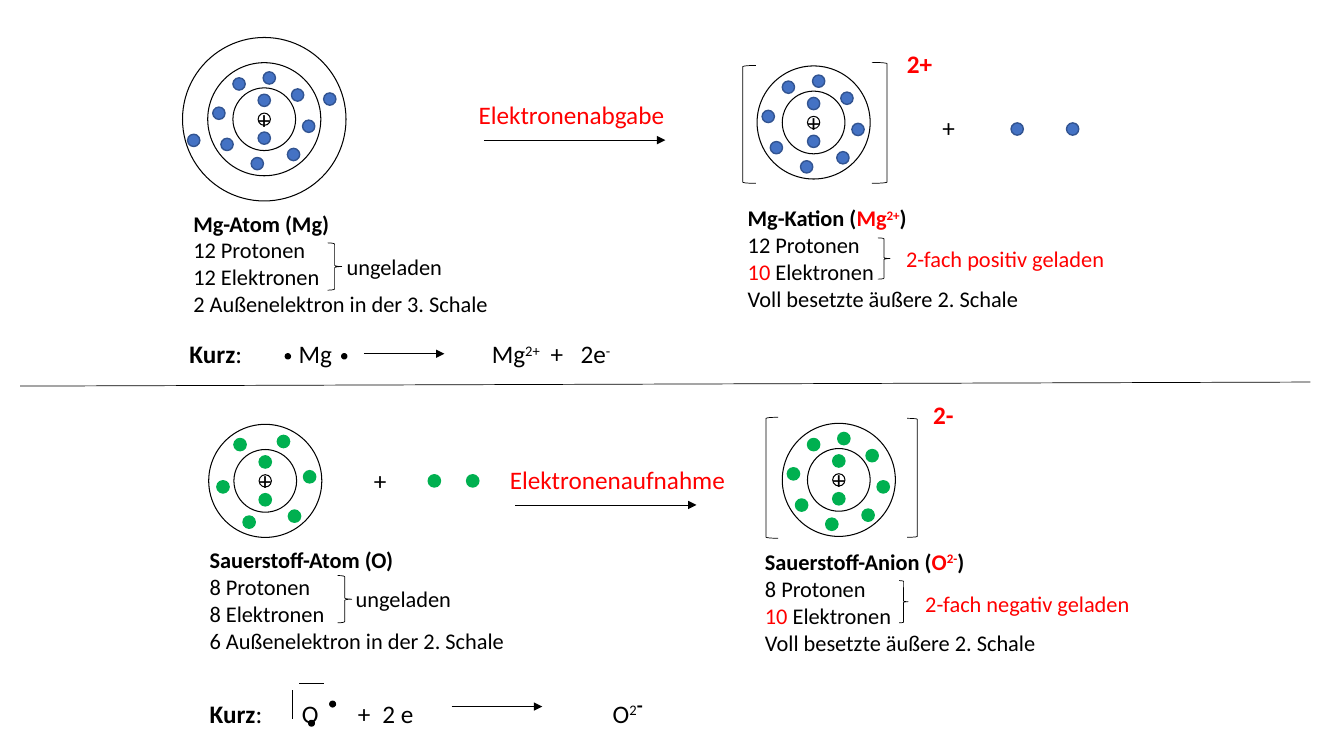
from lxml.etree import SubElement
from pptx import Presentation
from pptx.dml.color import RGBColor
from pptx.enum.shapes import MSO_CONNECTOR as Connector, MSO_SHAPE as Preset
from pptx.enum.text import MSO_AUTO_SIZE as AutoSize
from pptx.oxml.ns import qn
from pptx.util import Pt

BLACK = RGBColor(0x00, 0x00, 0x00)
WHITE = RGBColor(0xFF, 0xFF, 0xFF)
RED = RGBColor(0xFF, 0x00, 0x00)
BLUE = RGBColor(0x44, 0x72, 0xC4)
DARK_BLUE = RGBColor(0x32, 0x54, 0x91)
GREEN = RGBColor(0x00, 0xB0, 0x50)

MAGNESIUM = (BLUE, DARK_BLUE)
OXYGEN = (GREEN, GREEN)
SHELL_SIZES = (44.8, 80.8, 116.8)
INNER_PAIR = [(0, -13.5), (0, 13.5)]
OCTET = [(23.8, -17.3), (31.7, 5), (20.9, 25.2), (3.6, -29.5),
         (-18, -25.2), (-32.4, -4.3), (-26.6, 18), (-5, 31.7)]
SEXTET = [(31.7, -2.9), (20.9, 25.2), (13, -28.1),
          (-18, -25.9), (-30.2, 4.3), (-11.5, 29.5)]
OUTER_PAIR = [(46.8, -14.4), (-50.4, 15.1)]


def add_preset(slide, preset, left, top, width, height, fill=None, line=BLACK, weight=0.5):
    """Add a preset shape with the given fill and outline."""
    shape = slide.shapes.add_shape(preset, Pt(left), Pt(top), Pt(width), Pt(height))
    shape.shadow.inherit = False
    if fill is None:
        shape.fill.background()
    else:
        shape.fill.solid()
        shape.fill.fore_color.rgb = fill
    shape.line.color.rgb = line
    shape.line.width = Pt(weight)


def add_circle(slide, x, y, size, **style):
    """Add a circle around a centre point."""
    add_preset(slide, Preset.OVAL, x - size / 2, y - size / 2, size, size, **style)


def add_electrons(slide, x, y, offsets, colours):
    """Add electrons at offsets from a centre point."""
    fill, line = colours
    for across, down in offsets:
        add_circle(slide, x + across, y + down, 8.8, fill=fill, line=line, weight=1)


def add_atom(slide, x, y, electrons, colours, shells=2):
    """Add shells, a positive nucleus and electrons."""
    for size in reversed(SHELL_SIZES[:shells]):
        add_circle(slide, x, y, size, fill=WHITE, weight=0.75)
    add_circle(slide, x, y, 8.8, weight=0.75)
    add_text(slide, x - 11.6, y - 14.4, 23.2, 29, "+")
    add_electrons(slide, x, y, INNER_PAIR + electrons, colours)


def add_text(slide, left, top, width, height, *paragraphs,
             size=18, color=BLACK, bold=False, tabs=()):
    """Add a text box; a paragraph is a string or a list of (text, format) runs."""
    box = slide.shapes.add_textbox(Pt(left), Pt(top), Pt(width), Pt(height))
    frame = box.text_frame
    frame.word_wrap = True
    frame.auto_size = AutoSize.SHAPE_TO_FIT_TEXT
    for index, content in enumerate(paragraphs):
        paragraph = frame.paragraphs[0] if index == 0 else frame.add_paragraph()
        if tabs:
            tab_list = SubElement(paragraph._p.get_or_add_pPr(), qn("a:tabLst"))
            for position in tabs:
                SubElement(tab_list, qn("a:tab"), pos=str(Pt(position)), algn="l")
        for text, style in [(content, {})] if isinstance(content, str) else content:
            run = paragraph.add_run()
            run.text = text
            run.font.name = "Calibri"
            run.font.size = Pt(style.get("size", size))
            run.font.bold = style.get("bold", bold)
            run.font.color.rgb = style.get("color", color)
            if style.get("raised"):
                run._r.get_or_add_rPr().set("baseline", "30000")


def add_line(slide, start, end, arrow=False):
    """Add a thin black line, with an arrowhead on request."""
    points = [Pt(value) for value in (*start, *end)]
    connector = slide.shapes.add_connector(Connector.STRAIGHT, *points)
    connector.line.color.rgb = BLACK
    connector.line.width = Pt(0.5)
    properties = connector._element.spPr
    if arrow:
        SubElement(properties.find(qn("a:ln")), qn("a:tailEnd"), type="triangle")
    SubElement(properties, qn("a:effectLst"))


def add_atom_facts(slide, left, top, name, count, last_line):
    """Describe a neutral atom and brace its particle counts."""
    add_text(slide, left, top, 302, 85, [(name, {"bold": True})],
             f"{count} Protonen", f"{count} Elektronen", last_line, size=16)


def add_ion_facts(slide, left, top, name, symbol, charge, protons):
    """Describe an ion with its charge in red."""
    add_text(slide, left, top, 322, 85,
             [(f"{name} (", {"bold": True}),
              (symbol, {"bold": True, "color": RED}),
              (charge, {"bold": True, "color": RED, "raised": True}),
              (")", {"bold": True})],
             f"{protons} Protonen",
             [("10", {"color": RED}), (" Elektronen", {})],
             "Voll besetzte äußere 2. Schale", size=16)


def add_brace(slide, left, top, width, height, label, label_left, label_top, color=BLACK):
    """Add a right brace and its label."""
    add_preset(slide, Preset.RIGHT_BRACE, left, top, width, height)
    add_text(slide, label_left, label_top, 182, 26.6, label, size=16, color=color)


def add_magnesium(slide):
    """Draw magnesium giving off two electrons."""
    add_atom(slide, 188.8, 85.2, OCTET + OUTER_PAIR, MAGNESIUM, shells=3)
    add_atom_facts(slide, 131, 146.2, "Mg-Atom (Mg)", 12, "2 Außenelektron in der 3. Schale")
    add_brace(slide, 234, 173.5, 10.1, 33.8, "ungeladen", 240.5, 177.1)
    add_line(slide, (345.6, 100.1), (475.2, 100.1), arrow=True)
    add_text(slide, 334.8, 67.7, 151.2, 29, "Elektronenabgabe", color=RED)

    add_atom(slide, 581.2, 87.5, OCTET, MAGNESIUM)
    add_preset(slide, Preset.LEFT_BRACKET, 530.6, 46.8, 9.4, 84.2)
    add_preset(slide, Preset.RIGHT_BRACKET, 622.8, 44.6, 10.8, 86.4)
    add_text(slide, 640.8, 31, 39, 29, "2+", color=RED, bold=True)
    add_ion_facts(slide, 527, 142.6, "Mg-Kation", "Mg", "2+", 12)
    add_brace(slide, 627.1, 169.9, 8.6, 29.5, "2-fach positiv geladen", 640.1, 171.4, color=RED)
    add_text(slide, 666, 77, 39, 29, "+")
    add_electrons(slide, 746.4, 92.2, [(-19.8, 0), (19.8, 0)], MAGNESIUM)

    add_text(slide, 128.2, 238.3, 328.3, 29,
             [("Kurz", {"bold": True}), (":\tMg\tMg", {}), ("2+", {"raised": True}),
              ("\t+\t2e", {}), ("-", {"raised": True})],
             tabs=(78, 216, 258, 279.5))
    add_line(slide, (259.9, 252.7), (317.5, 252.7), arrow=True)
    for x in (205.6, 245.9):
        add_circle(slide, x, 254.5, 3.6, fill=BLACK, weight=1)


def add_oxygen(slide):
    """Draw oxygen taking up two electrons."""
    add_atom(slide, 189.5, 343.5, SEXTET, OXYGEN)
    add_atom_facts(slide, 142.6, 386.6, "Sauerstoff-Atom (O)", 8, "6 Außenelektron in der 2. Schale")
    add_brace(slide, 241.2, 411.1, 10.1, 33.8, "ungeladen", 247, 414.7)
    add_text(slide, 259.9, 329, 39, 29, "+")
    add_electrons(slide, 324, 343.5, [(-13.7, 0), (13.7, 0)], OXYGEN)
    add_line(slide, (367.9, 360.7), (497.5, 360.7), arrow=True)
    add_text(slide, 357.1, 328.3, 175.7, 29, "Elektronenaufnahme", color=RED)

    add_atom(slide, 599.2, 342.8, OCTET, OXYGEN)
    add_preset(slide, Preset.LEFT_BRACKET, 547.2, 298.1, 8.6, 86.4)
    add_preset(slide, Preset.RIGHT_BRACKET, 648, 298.8, 7.2, 85)
    add_text(slide, 659.5, 281.5, 39, 29, "2-", color=RED, bold=True)
    add_ion_facts(slide, 539.3, 388.1, "Sauerstoff-Anion", "O", "2-", 8)
    add_brace(slide, 642.2, 414.7, 6.5, 30.2, "2-fach negativ geladen", 653.8, 418.3, color=RED)

    add_text(slide, 142.6, 488.9, 343.4, 29,
             [("Kurz", {"bold": True}), (":\tO\t+\t2 e\tO", {}), ("2", {"raised": True}),
              ("-", {"raised": True, "size": 24, "bold": True})],
             tabs=(66, 106, 123.5, 288))
    add_line(slide, (322.6, 504.7), (387.4, 504.7), arrow=True)
    add_line(slide, (213.8, 488.2), (231.1, 488.2))
    add_line(slide, (208.8, 513.4), (208.8, 493.2))
    for x, y in ((237.6, 502.9), (222.5, 516.6)):
        add_circle(slide, x, y, 4, fill=BLACK, weight=1)


def main():
    """Build and save the slide on ion formation."""
    presentation = Presentation()
    presentation.slide_width = Pt(960)
    presentation.slide_height = Pt(540)
    slide = presentation.slides.add_slide(presentation.slide_layouts[6])
    add_magnesium(slide)
    add_line(slide, (14.4, 275.8), (936, 272.9))
    add_oxygen(slide)
    presentation.save("out.pptx")


if __name__ == "__main__":
    main()
